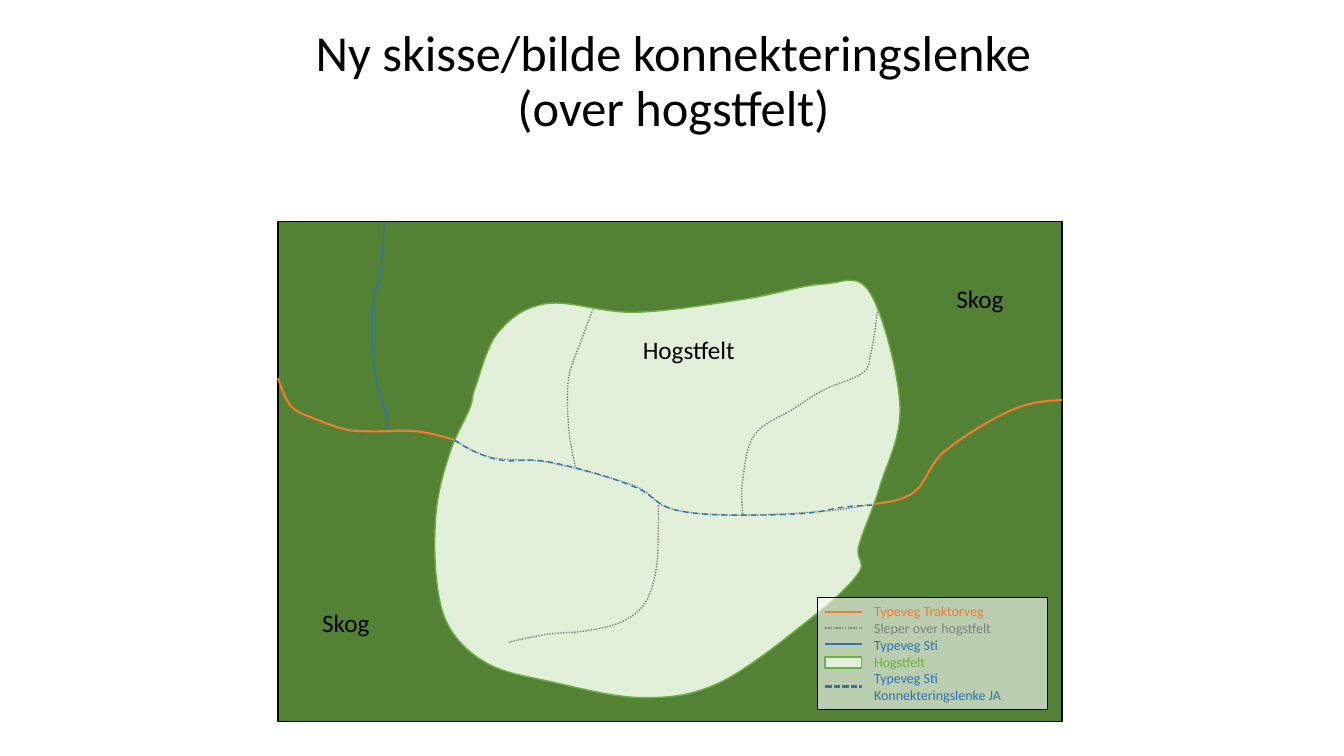
from lxml import etree
from pptx import Presentation
from pptx.dml.color import RGBColor
from pptx.enum.dml import MSO_LINE
from pptx.enum.shapes import MSO_CONNECTOR, MSO_SHAPE
from pptx.enum.text import MSO_ANCHOR, MSO_AUTO_SIZE, PP_ALIGN
from pptx.oxml.ns import qn
from pptx.util import Cm, Pt

RECT, STRAIGHT = MSO_SHAPE.RECTANGLE, MSO_CONNECTOR.STRAIGHT
DOT, DASH, SHORT_DASH = MSO_LINE.ROUND_DOT, MSO_LINE.DASH, MSO_LINE.SQUARE_DOT
SYS_DOT, SYS_DASH = "sysDot", "sysDash"
TOP, BOTTOM = MSO_ANCHOR.TOP, MSO_ANCHOR.BOTTOM
CENTER, LEFT = PP_ALIGN.CENTER, PP_ALIGN.LEFT
NO_FIT = MSO_AUTO_SIZE.NONE

BLACK, WHITE, FOREST = "000000", "FFFFFF", "548235"
ORANGE, GREY, BLUE = "ED7D31", "808080", "2E75B6"
PALE, GREEN = "E2F0D9", "70AD47"

# Points each curve passes through, in cm
HOGSTFELT = [(11.84, 10.29), (11.35, 11.38), (11, 12.83), (11, 14.58), (11.35, 15.85),
             (12.32, 16.74), (13.84, 17.17), (16.18, 17.58), (18.14, 17.2), (20.45, 15.57),
             (21.64, 14.43), (21.64, 13.77), (22.17, 12.27), (22.68, 10.21), (21.92, 7.37),
             (20.73, 7.16), (18.75, 7.54), (16, 7.87), (13.79, 7.65), (12.57, 8.36),
             (11.99, 9.73)]
TRAKTORVEGER = [
    [(7.01, 9.53), (7.34, 10.24), (7.9, 10.54), (8.71, 10.82), (9.37, 10.87),
     (10.49, 10.87), (11.51, 11.1)],
    [(22, 12.7), (23.04, 12.4), (23.8, 11.38), (25.48, 10.34), (26.77, 10.08)],
]
SLEPER = [
    [(11.48, 11.1), (12.4, 11.53), (13.87, 11.66), (15.98, 12.24), (16.84, 12.8),
     (18.36, 12.98), (20.57, 12.9), (22, 12.7)],
    [(14.5, 11.76), (14.33, 10.74), (14.33, 9.53), (14.66, 8.56), (14.94, 7.8)],
    [(18.72, 12.95), (18.72, 12.09), (19.02, 10.95), (20.02, 10.29), (20.75, 9.83),
     (21.74, 9.4), (21.95, 8.89), (22.12, 7.8)],
    [(16.59, 12.73), (16.59, 13.36), (16.54, 14.33), (16.26, 15.19), (15.67, 15.67),
     (14.76, 15.9), (13.82, 15.98), (12.83, 16.18)],
]
KONNEKTERINGSLENKE = [(11.46, 11.1), (12.07, 11.43), (12.73, 11.61), (13.64, 11.61),
                      (14.94, 11.91), (16.1, 12.32), (16.81, 12.78), (17.7, 12.95),
                      (19.05, 12.98), (20.37, 12.93), (21.26, 12.78), (22.05, 12.73)]
STI = [(9.78, 10.8), (9.73, 10.39), (9.53, 9.8), (9.4, 8.89), (9.4, 7.75),
       (9.6, 6.78), (9.68, 5.61)]

LEGEND = [("Typeveg Traktorveg", ORANGE), ("Sleper over hogstfelt", GREY),
          ("Typeveg Sti", BLUE), ("Hogstfelt", GREEN),
          ("Typeveg Sti", BLUE), ("Konnekteringslenke JA", BLUE)]
LEGEND_LINES = [(15.42, ORANGE, 1.5, None), (15.82, GREY, 1, SYS_DOT),
                (16.23, BLUE, 1.5, None), (17.3, BLUE, 1.5, SYS_DASH)]
LABELS = [("Skog", 23.85, 7.01, 1.85), ("Skog", 7.87, 15.19, 1.85),
          ("Hogstfelt", 15.95, 8.31, 3.18)]


def rgb(color):
    return RGBColor.from_string(color)


def set_line(sp, color, width, dash=None):
    sp.line.color.rgb = rgb(color)
    sp.line.width = Pt(width)
    if dash:
        ln = sp.line._get_or_add_ln()
        etree.SubElement(ln, qn("a:prstDash")).set("val", dash)


def set_fill(sp, color, opacity=100):
    if color is None:
        sp.fill.background()
        return
    sp.fill.solid()
    sp.fill.fore_color.rgb = rgb(color)
    if opacity < 100:
        clr = sp.fill._xPr.find(".//" + qn("a:srgbClr"))
        etree.SubElement(clr, qn("a:alpha")).set("val", str(opacity * 1000))


def add_text(p, text, size, color):
    r = p.add_run()
    r.text = text
    r.font.color.rgb = rgb(color)
    for name, value in {"name": "Calibri", "size": Pt(size)}.items():
        setattr(r.font, name, value)


def add_rect(s, box, fill, line, width, opacity=100):
    sp = s.shapes.add_shape(RECT, *map(Cm, box))
    sp.shadow.inherit = False
    set_fill(sp, fill, opacity)
    set_line(sp, line, width)
    return sp


def smooth_segments(points, closed):
    """Give the two control points and the end point of each curve segment."""
    n = len(points)
    knots = points + points[:1] if closed else points

    def tangent(i):
        (x0, y0), (x1, y1) = points[(i - 1) % n], points[(i + 1) % n]
        return (x1 - x0) / 6, (y1 - y0) / 6

    for i, (a, b) in enumerate(zip(knots, knots[1:])):
        j = (i + 1) % n
        c1 = [v + t for v, t in zip(a, tangent(i))]
        c2 = [v - t for v, t in zip(b, tangent(j))]
        if not closed and i == 0:
            c1 = [(v + w) / 2 for v, w in zip(a, c2)]
        if not closed and j == n - 1:
            c2 = [(v + w) / 2 for v, w in zip(b, c1)]
        yield c1, c2, b


def add_curve(s, points, color, width, dash=None, fill=None):
    closed = fill is not None
    ends = points[1:] + points[:1] if closed else points[1:]
    fb = s.shapes.build_freeform(*map(Cm, points[0]))
    fb.add_line_segments([(Cm(x), Cm(y)) for x, y in ends], close=closed)
    sp = fb.convert_to_shape()
    sp.shadow.inherit = False
    set_fill(sp, fill)
    set_line(sp, color, width, dash)
    # Turn the straight segments into Bézier curves
    straight = list(sp._element.iter(qn("a:lnTo")))
    for ln_to, segment in zip(straight, smooth_segments(points, closed)):
        bez = etree.Element(qn("a:cubicBezTo"))
        for x, y in segment:
            pt = etree.SubElement(bez, qn("a:pt"))
            pt.set("x", str(Cm(x) - sp.left))
            pt.set("y", str(Cm(y) - sp.top))
        ln_to.getparent().replace(ln_to, bez)


def add_key_line(s, y, color, width, dash):
    cx = s.shapes.add_connector(STRAIGHT, Cm(20.8), Cm(y), Cm(21.72), Cm(y))
    set_line(cx, color, width, dash)
    etree.SubElement(cx._element.spPr, qn("a:effectLst"))


def add_label(s, text, x, y, width):
    tf = s.shapes.add_textbox(Cm(x), Cm(y), Cm(width), Cm(1.02)).text_frame
    tf.word_wrap = True
    add_text(tf.paragraphs[0], text, 18, BLACK)


def add_title(s, lines):
    sp = s.shapes.title
    box = {"left": 1.75, "top": 0.53, "width": 30.45, "height": 3.05}
    for name, value in box.items():
        setattr(sp, name, Cm(value))
    tf = sp.text_frame
    for name, value in {"vertical_anchor": BOTTOM, "word_wrap": True,
                        "auto_size": NO_FIT}.items():
        setattr(tf, name, value)
    p = tf.paragraphs[0]
    p.alignment, p.line_spacing = CENTER, 0.9
    for i, line in enumerate(lines):
        if i:
            p.add_line_break()
        add_text(p, line, 36, BLACK)


def add_legend(s):
    sp = add_rect(s, (20.6, 15.06, 5.79, 2.82), WHITE, BLACK, 0.75, opacity=60)
    tf = sp.text_frame
    for name, value in {"vertical_anchor": TOP, "word_wrap": True,
                        "margin_left": Cm(1.43)}.items():
        setattr(tf, name, value)
    for i, (text, color) in enumerate(LEGEND):
        p = tf.add_paragraph() if i else tf.paragraphs[0]
        p.alignment = LEFT
        add_text(p, text, 10, color)
    for key in LEGEND_LINES:
        add_key_line(s, *key)
    add_rect(s, (20.8, 16.56, 0.91, 0.28), PALE, GREEN, 1.25)


def main():
    prs = Presentation()
    prs.slide_width, prs.slide_height = Cm(33.87), Cm(19.05)
    s = prs.slides.add_slide(prs.slide_layouts[5])
    add_title(s, ["Ny skisse/bilde konnekteringslenke", "(over hogstfelt)"])

    # Forest, roads and felling area
    add_rect(s, (7.01, 5.59, 19.76, 12.6), FOREST, BLACK, 1)
    for road in TRAKTORVEGER:
        add_curve(s, road, ORANGE, 1.5)
    add_curve(s, HOGSTFELT, GREEN, 1, fill=PALE)
    for track in SLEPER:
        add_curve(s, track, GREY, 1, SYS_DOT)

    # Legend, paths and labels
    add_legend(s)
    add_curve(s, KONNEKTERINGSLENKE, BLUE, 1, "dash")
    add_curve(s, STI, BLUE, 1)
    for label in LABELS:
        add_label(s, *label)
    prs.save("out.pptx")


if __name__ == "__main__":
    main()
